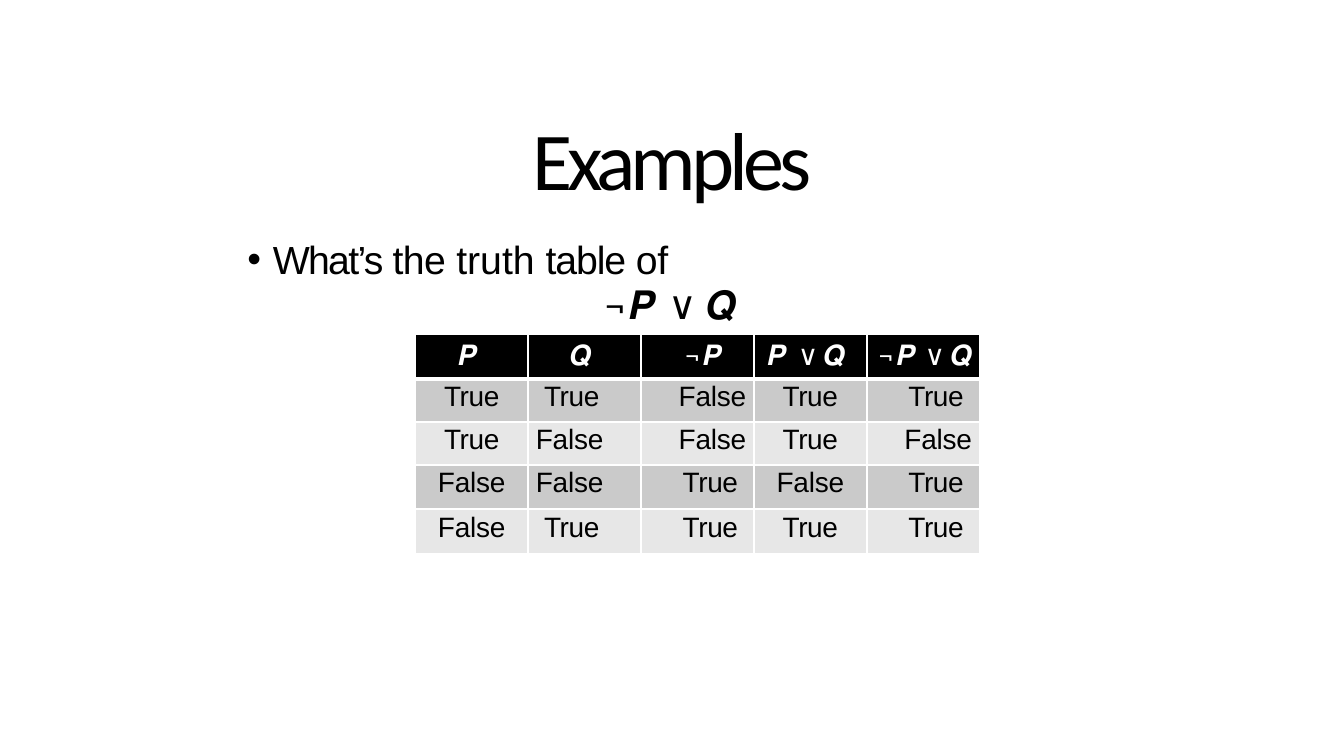
from pptx import Presentation
from pptx.dml.color import RGBColor
from pptx.enum.text import MSO_ANCHOR, MSO_AUTO_SIZE, PP_ALIGN
from pptx.oxml import parse_xml
from pptx.oxml.ns import nsdecls
from pptx.util import Inches, Pt

BLACK = RGBColor(0x00, 0x00, 0x00)
WHITE = RGBColor(0xFF, 0xFF, 0xFF)
DARK = RGBColor(0xCA, 0xCA, 0xCA)
LIGHT = RGBColor(0xE7, 0xE7, 0xE7)
P, Q, NOT, OR = "𝑷", "𝑸", "¬", "∨"
LEFT, MID, RIGHT = PP_ALIGN.LEFT, PP_ALIGN.CENTER, PP_ALIGN.RIGHT

# Header cells: runs of (text, letter spacing), alignment, left and right indent
HEADS = [
    ([(P, 0.9)], MID, 0, 0.06),
    ([(Q, -0.5)], MID, 0, 0.06),
    ([(NOT + P, 1.9)], LEFT, 0.33, 0),
    ([(P + " ", 1.4), (OR + " ", -0.7), (Q, -0.5)], MID, 0, 0.06),
    ([(NOT + P, 2.1), (" " + OR, -0.7), (" " + Q, -0.6)], LEFT, 0.09, 0),
]
ROWS = ["TTFTT", "TFFTF", "FFTFT", "FTTTT"]
# Each truth value: word, letter spacing, indent
WORDS = {"T": ("True", -0.2, 0.31), "F": ("False", -0.1, 0.28)}
SIDES = [MID, RIGHT, LEFT, MID, LEFT]


def set_all(item, values):
    for name, value in values.items():
        setattr(item, name, value)


def place(shape, box):
    set_all(shape, dict(zip(("left", "top", "width", "height"), map(Inches, box))))


def frame(text, anchor):
    set_all(text, {"margin_left": 0, "margin_right": 0, "margin_top": Inches(0.01),
                   "margin_bottom": 0, "word_wrap": True, "vertical_anchor": anchor,
                   "auto_size": MSO_AUTO_SIZE.SHAPE_TO_FIT_TEXT})


def write(para, runs, font, size, color, **form):
    set_all(para, form)
    for text, gap in runs:
        run = para.add_run()
        run.text = text
        set_all(run.font, {"name": font, "size": Pt(size), "bold": False})
        run.font.color.rgb = color
        run._r.get_or_add_rPr().set("spc", str(round(gap * 100)))


def indent(para, **sides):
    props = para._p.get_or_add_pPr()
    for name, value in sides.items():
        props.set(name, str(Inches(value)))
    return props


def add_title(slide, box):
    title = slide.shapes.title
    place(title, box)
    frame(title.text_frame, MSO_ANCHOR.MIDDLE)
    para = title.text_frame.paragraphs[0]
    write(para, [("Examples", -2.7)], "Calibri", 44, BLACK,
          alignment=MID, space_before=Pt(0.8))
    indent(para, marL=0.01, indent=0)


def add_body(slide, box):
    body = slide.placeholders[1]
    place(body, box)
    text = body.text_frame
    frame(text, MSO_ANCHOR.TOP)
    # Question
    para = text.paragraphs[0]
    runs = [("What’s ", -0.9), ("the ", -0.3), ("truth ", 0), ("table ", -0.6), ("of", -0.2)]
    write(para, runs, "Arial", 21, BLACK, line_spacing=Pt(24), space_before=Pt(0.7))
    props = indent(para, marL=0.2, indent=-0.19)
    props.append(parse_xml(f'<a:buChar {nsdecls("a")} char="•"/>'))
    # Formula
    para = text.add_paragraph()
    runs = [(NOT + P, 2.2), (" " + OR + " ", 0), (Q, -0.4)]
    write(para, runs, "Calibri", 21, BLACK, line_spacing=Pt(24),
          space_before=Pt(0), alignment=RIGHT)
    props = indent(para, marL=0, indent=0)
    props.append(parse_xml(f'<a:buNone {nsdecls("a")}/>'))


def style(cell, fill, pad, **lines):
    props = cell._tc.get_or_add_tcPr()
    for side in "LRTB":
        wide = Pt(lines.get(side, 1))
        props.append(parse_xml(
            f'<a:ln{side} {nsdecls("a")} w="{wide}"><a:solidFill>'
            f'<a:srgbClr val="{WHITE}"/></a:solidFill></a:ln{side}>'))
    cell.fill.solid()
    cell.fill.fore_color.rgb = fill
    set_all(cell, {"margin_left": 0, "margin_right": 0,
                   "margin_top": Inches(pad), "margin_bottom": 0})


def add_truth(slide, box):
    count = len(HEADS)
    table = slide.shapes.add_table(len(ROWS) + 1, count, *map(Inches, box)).table
    for col in table.columns:
        col.width = Inches(box[2] / count)
    for row, high in zip(table.rows, (0.33, 0.32, 0.32, 0.33, 0.33)):
        row.height = Inches(high)
    # Header row
    for x, (runs, side, left, right) in enumerate(HEADS):
        cell = table.cell(0, x)
        style(cell, BLACK, 0.03, B=3)
        para = cell.text_frame.paragraphs[0]
        write(para, runs, "Calibri", 15, WHITE, alignment=side, space_before=Pt(2.5))
        indent(para, marL=left, marR=right)
    # Truth values
    for y, row in enumerate(ROWS, 1):
        for x, key in enumerate(row):
            word, gap, inset = WORDS[key]
            cell = table.cell(y, x)
            style(cell, DARK if y % 2 else LIGHT, 0.02, T=3 if y == 1 else 1)
            para = cell.text_frame.paragraphs[0]
            write(para, [(word, gap)], "Arial", 15, BLACK,
                  alignment=SIDES[x], space_before=Pt(2.4))
            if SIDES[x] != MID:
                indent(para, **{"marR" if SIDES[x] == RIGHT else "marL": inset})


deck = Presentation()
wide = Inches(10)
set_all(deck, {"slide_width": wide, "slide_height": wide * 9 // 16})
slide = deck.slides.add_slide(deck.slide_layouts[1])
add_title(slide, (1.62, 0.79, 6.75, 0.75))
add_body(slide, (1.83, 1.76, 3.65, 0.69))
add_truth(slide, (3.09, 2.49, 4.2, 1.62))
deck.save("out.pptx")
